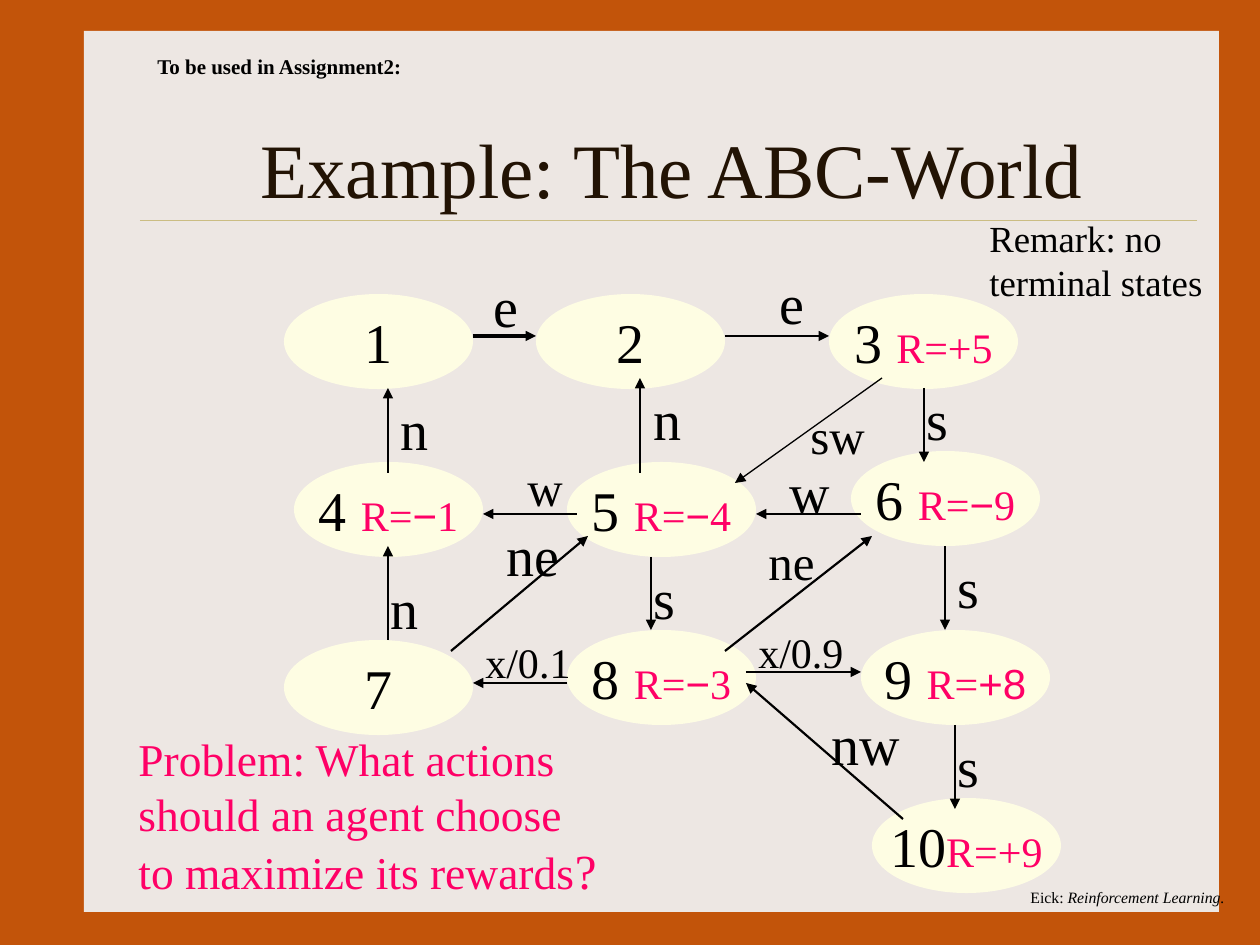
from dataclasses import dataclass, replace

from lxml import etree
from pptx import Presentation
from pptx import util as u
from pptx.dml.color import RGBColor
from pptx.enum import shapes, text
from pptx.oxml import ns

SCALE = 914400 / 126
RUST = RGBColor(0xC2, 0x54, 0x0A)
PAPER = RGBColor(0xED, 0xE7, 0xE3)
CREAM = RGBColor(0xFE, 0xFD, 0xE3)
TAN = RGBColor(0xCB, 0xBD, 0x83)
BROWN = RGBColor(0x22, 0x13, 0x04)
PINK = RGBColor(0xFF, 0x00, 0x66)
BLACK = RGBColor(0, 0, 0)
SERIF, SANS = "Times New Roman", "Arial"
STATE_SIZE = (189, 95)


@dataclass(frozen=True)
class Span:
    """A run of text in one format."""
    text: str
    size: float = 32
    color: RGBColor = BLACK
    name: str = SERIF
    bold: bool = False
    italic: bool = False


@dataclass(frozen=True)
class State:
    """A state of the world, with its reward split by font."""
    left: int
    top: int
    number: str
    reward: str = ""
    sans: str = ""
    ending: str = ""


@dataclass(frozen=True)
class Arrow:
    """A transition between two points."""
    start: tuple[int, int]
    end: tuple[int, int]
    width: float = 1.25


@dataclass(frozen=True)
class Note:
    """A text box holding one or more lines of spans."""
    left: int
    top: int
    width: int
    height: int
    lines: list[list[Span]]
    wrap: bool = False
    centred: bool = False


STATES = [
    State(284, 294, "1"),
    State(536, 294, "2"),
    State(829, 294, "3 ", "R=+5"),
    State(851, 451, "6 ", "R=", "−", "9"),
    State(861, 630, "9 ", "R=", "+8"),
    State(872, 798, "10", "R=+9"),
    State(567, 630, "8 ", "R=", "−", "3"),
    State(567, 462, "5 ", "R=", "−", "4"),
    State(294, 462, "4 ", "R=", "−", "1"),
    State(284, 640, "7"),
]

ARROWS = [
    Arrow((473, 336), (536, 336), 1.76),
    Arrow((725, 336), (829, 336)),
    Arrow((924, 388), (924, 462)),
    Arrow((945, 546), (945, 630)),
    Arrow((955, 725), (955, 809)),
    Arrow((861, 514), (756, 514)),
    Arrow((903, 819), (746, 683)),
    Arrow((640, 473), (640, 378)),
    Arrow((651, 557), (651, 630)),
    Arrow((388, 473), (388, 388)),
    Arrow((388, 640), (388, 546)),
    Arrow((567, 683), (473, 683)),
    Arrow((451, 651), (588, 536)),
    Arrow((746, 672), (861, 672)),
    Arrow((725, 651), (872, 536)),
    Arrow((882, 378), (735, 483), 0.74),
    Arrow((577, 514), (483, 514)),
]

# Action, text size, then left, top and width of its box
ACTIONS = [
    ("e", 32, 481, 265, 50), ("e", 32, 767, 262, 50),
    ("s", 32, 914, 378, 47), ("s", 32, 945, 546, 47),
    ("s", 32, 945, 725, 47), ("s", 32, 641, 557, 47),
    ("n", 32, 388, 388, 32), ("n", 32, 378, 567, 32),
    ("n", 32, 641, 378, 53), ("nw", 32, 819, 703, 96),
    ("w", 32, 777, 451, 67), ("w", 28, 515, 451, 62),
    ("ne", 32, 494, 514, 80), ("ne", 28, 756, 525, 73),
    ("sw", 28, 798, 399, 82),
    ("x/0.9", 24, 746, 620, 112), ("x/0.1", 24, 473, 630, 112),
]
ACTION_HEIGHTS = {32: 81, 28: 72, 24: 63}

ASK = Span("", 26, PINK)
REMARK = Span("", 21)
NOTES = [
    Note(1018, 882, 221, 32, [[Span("Eick: ", 9),
                               Span("Reinforcement Learning.", 9, italic=True)]], wrap=True),
    Note(147, 105, 1050, 126, [[Span("Example: The ABC-World", 44, BROWN)]],
         wrap=True, centred=True),
    Note(126, 725, 484, 181, [
        [replace(ASK, text="Problem: What actions")],
        [replace(ASK, text="should an agent choose")],
        [replace(ASK, text="to maximize its rewards"), replace(ASK, text="?", size=28)],
    ]),
    Note(977, 210, 239, 101, [[replace(REMARK, text="Remark: no")],
                              [replace(REMARK, text="terminal states")]], wrap=True),
    Note(145, 47, 272, 38, [[Span("To be used in Assignment2:", 12, bold=True)]]),
]


def px(*lengths: float) -> list[u.Emu]:
    """Turn pixels into EMU."""
    return [u.Emu(round(length * SCALE)) for length in lengths]


def write(frame, lines: list[list[Span]], wrap: bool, centred: bool) -> None:
    """Fill a text frame with lines of spans."""
    frame.word_wrap = wrap
    frame.vertical_anchor = text.MSO_ANCHOR.MIDDLE if centred else text.MSO_ANCHOR.TOP
    if not centred:
        frame.auto_size = text.MSO_AUTO_SIZE.SHAPE_TO_FIT_TEXT
    for index, line in enumerate(lines):
        para = frame.paragraphs[0] if index == 0 else frame.add_paragraph()
        para.alignment = text.PP_ALIGN.CENTER if centred else text.PP_ALIGN.LEFT
        for span in line:
            run = para.add_run()
            run.text = span.text
            values = {"size": u.Pt(span.size), "name": span.name,
                      "bold": span.bold, "italic": span.italic}
            for key, value in values.items():
                setattr(run.font, key, value)
            run.font.color.rgb = span.color


def add_plain(page, kind, area: tuple, color: RGBColor):
    """Add a filled shape without outline or shadow."""
    shape = page.shapes.add_shape(kind, *px(*area))
    shape.shadow.inherit = False
    shape.fill.solid()
    shape.fill.fore_color.rgb = color
    shape.line.fill.background()
    return shape


def add_state(page, state: State) -> None:
    """Draw a state as an ellipse with number and reward."""
    shape = add_plain(page, shapes.MSO_SHAPE.OVAL,
                      (state.left, state.top, *STATE_SIZE), CREAM)
    spans = [Span(state.number), Span(state.reward, 24, PINK),
             Span(state.sans, 24, PINK, SANS), Span(state.ending, 24, PINK)]
    write(shape.text_frame, [[span for span in spans if span.text]], False, True)


def add_line(page, arrow: Arrow, color: RGBColor = BLACK, pointed: bool = True) -> None:
    """Draw a straight line, with an arrowhead at its end if pointed."""
    line = page.shapes.add_connector(shapes.MSO_CONNECTOR.STRAIGHT,
                                     *px(*arrow.start, *arrow.end))
    line.line.color.rgb = color
    line.line.width = u.Pt(arrow.width)
    if pointed:
        outline = line.line._get_or_add_ln()
        etree.SubElement(outline, ns.qn("a:tailEnd"), type="triangle")
    etree.SubElement(line._element.spPr, ns.qn("a:effectLst"))


def add_note(page, note: Note) -> None:
    """Add a text box."""
    box = page.shapes.add_textbox(*px(note.left, note.top, note.width, note.height))
    write(box.text_frame, note.lines, note.wrap, note.centred)


def main() -> None:
    """Build and save the slide."""
    deck = Presentation()
    deck.slide_width, deck.slide_height = px(1260, 945)
    page = deck.slides.add_slide(deck.slide_layouts[6])
    page.background.fill.solid()
    page.background.fill.fore_color.rgb = RUST
    add_plain(page, shapes.MSO_SHAPE.RECTANGLE, (84, 31, 1135, 881), PAPER)
    add_line(page, Arrow((140, 220), (1197, 220), 0.26), TAN, pointed=False)
    for state in STATES:
        add_state(page, state)
    for arrow in ARROWS:
        add_line(page, arrow)
    for action, size, left, top, width in ACTIONS:
        add_note(page, Note(left, top, width, ACTION_HEIGHTS[size],
                            [[Span(action, size)]], wrap=width == 32))
    for note in NOTES:
        add_note(page, note)
    deck.save("out.pptx")


main()
